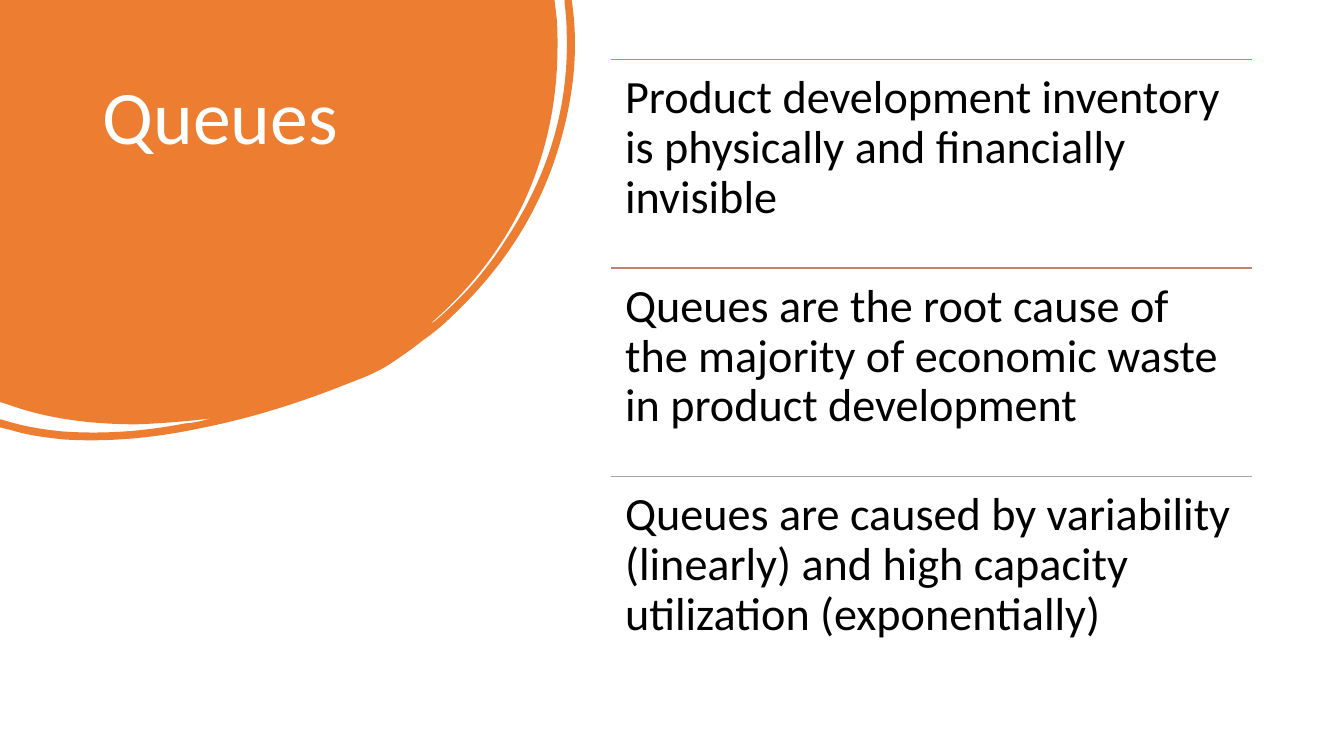
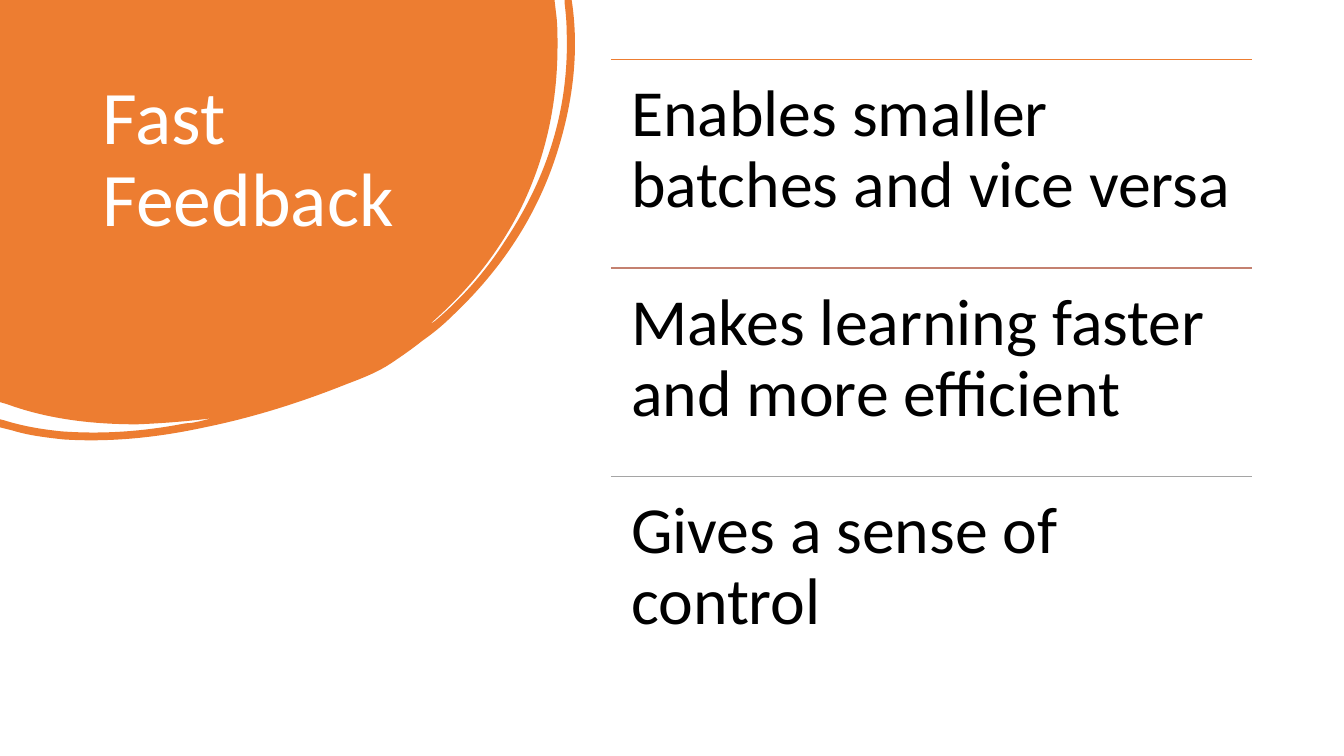
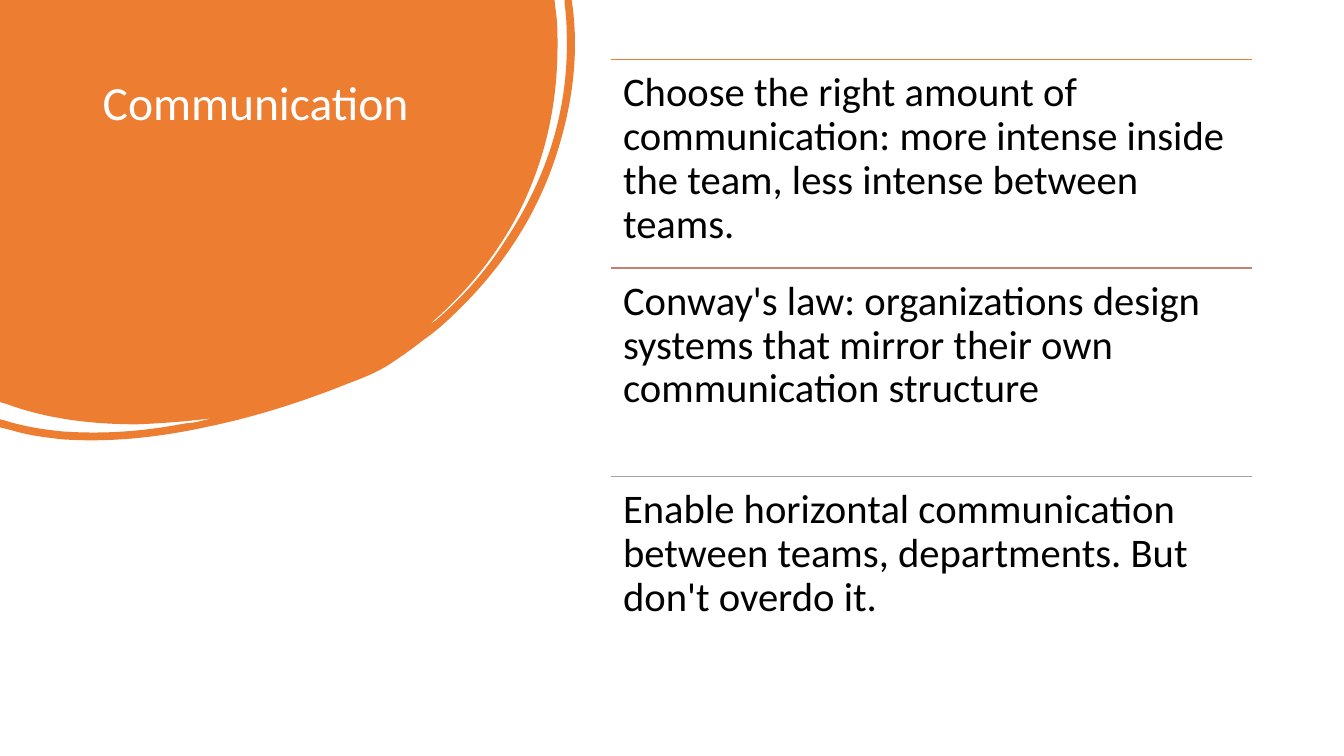
from lxml import etree
from pptx import Presentation
from pptx.dml.color import RGBColor
from pptx.enum import shapes, text
from pptx.oxml.ns import qn
from pptx.util import Inches, Pt

# Shared look
FONT = "Calibri"
ORANGE, WHITE, BLACK = "ED7D31", "FFFFFF", "000000"
RULE_COLORS = [ORANGE, "C48170", "A5A5A5"]
LIST_LEFT, LIST_TOP, LIST_WIDTH, ROW_HEIGHT = 6.06, 0.59, 6.36, 2.07
BLOB_WIDTH, BLOB_HEIGHT = 5.71, 4.37

# Brush blob outline from (0, 0): 2 numbers are a line, 6 are a Bezier curve
BLOB = [
    (5.5, 0), (5.52, 0.17),
    (5.53, 0.26, 5.53, 0.36, 5.53, 0.45),
    (5.53, 1.01, 5.42, 1.54, 5.18, 2.04),
    (4.96, 2.49, 4.65, 2.88, 4.27, 3.21),
    (4.29, 3.21, 4.3, 3.19, 4.32, 3.18),
    (4.59, 2.95, 4.82, 2.69, 5.01, 2.39),
    (5.43, 1.76, 5.65, 1.07, 5.62, 0.3),
    (5.62, 0.21, 5.61, 0.12, 5.6, 0.03),
    (5.6, 0), (5.67, 0), (5.68, 0.07),
    (5.74, 0.54, 5.68, 1.02, 5.53, 1.5),
    (5.33, 2.14, 4.97, 2.68, 4.48, 3.14),
    (4.39, 3.23, 4.29, 3.31, 4.19, 3.38),
    (4.09, 3.46, 3.99, 3.53, 3.87, 3.61),
    (3.75, 3.69, 3.6, 3.75, 3.44, 3.81),
    (2.99, 3.99, 2.52, 4.14, 2.03, 4.24),
    (1.57, 4.34, 1.1, 4.39, 0.63, 4.36),
    (0.45, 4.34, 0.28, 4.32, 0.12, 4.27),
    (0, 4.24), (0, 4.16), (0.04, 4.17),
    (0.23, 4.23, 0.42, 4.26, 0.61, 4.28),
    (1.03, 4.31, 1.43, 4.28, 1.84, 4.2),
    (1.89, 4.2, 1.93, 4.19, 1.98, 4.18),
    (2.02, 4.17, 2.06, 4.16, 2.1, 4.15),
    (1.86, 4.18, 1.61, 4.2, 1.36, 4.21),
    (0.92, 4.21, 0.48, 4.16, 0.07, 4.01),
    (0, 3.99),
]

# Title, title size, statement size, statement inset, statements
SLIDES = [
    ("Queues", 54, 33, 0.14, [
        "Product development inventory is physically and financially invisible",
        "Queues are the root cause of the majority of economic waste in product development",
        "Queues are caused by variability (linearly) and high capacity utilization (exponentially)",
    ]),
    ("Fast Feedback", 54, 47, 0.2, [
        "Enables smaller batches and vice versa",
        "Makes learning faster and more efficient",
        "Gives a sense of control",
    ]),
    ("Communication", 34, 29, 0.12, [
        "Choose the right amount of communication: more intense inside the team, "
        "less intense between teams.",
        "Conway's law: organizations design systems that mirror their own communication structure",
        "Enable horizontal communication between teams, departments. But don't overdo it.",
    ]),
]


def color(hex_value):
    return RGBColor.from_string(hex_value)


def bend_segments(outline, segments):
    """Turn the straight segments that have control points into Bezier curves."""
    for line, segment in zip(outline.findall(qn("a:lnTo")), segments):
        if len(segment) == 6:
            line.tag = qn("a:cubicBezTo")
            for index in (0, 2):
                control = etree.Element(qn("a:pt"), x=str(Inches(segment[index])),
                                        y=str(Inches(segment[index + 1])))
                line.insert(index // 2, control)


def add_blob(slide):
    builder = slide.shapes.build_freeform(0, 0)
    ends = [(Inches(segment[-2]), Inches(segment[-1])) for segment in BLOB]
    builder.add_line_segments(ends, close=True)
    blob = builder.convert_to_shape()
    # Curves reach beyond their end points, so the frame is set as well
    blob.width, blob.height = Inches(BLOB_WIDTH), Inches(BLOB_HEIGHT)
    outline = next(blob._element.iter(qn("a:path")))
    outline.set("w", str(blob.width))
    outline.set("h", str(blob.height))
    bend_segments(outline, BLOB)
    blob.shadow.inherit = False
    blob.fill.solid()
    blob.fill.fore_color.rgb = color(ORANGE)
    blob.line.fill.background()


def add_text(slide, words, left, top, width, height, *, size, hex_value=BLACK,
             inset_x=0.1, inset_y=0.05):
    box = slide.shapes.add_textbox(Inches(left), Inches(top), Inches(width), Inches(height))
    frame = box.text_frame
    frame.word_wrap = True
    frame.vertical_anchor = text.MSO_ANCHOR.TOP
    frame.margin_left = frame.margin_right = Inches(inset_x)
    frame.margin_top = frame.margin_bottom = Inches(inset_y)
    paragraph = frame.paragraphs[0]
    paragraph.line_spacing = 0.9
    run = paragraph.add_run()
    run.text = words
    run.font.name = FONT
    run.font.size = Pt(size)
    run.font.color.rgb = color(hex_value)


def add_rule(slide, top, hex_value):
    rule = slide.shapes.add_connector(
        shapes.MSO_CONNECTOR.STRAIGHT, Inches(LIST_LEFT), Inches(top),
        Inches(LIST_LEFT + LIST_WIDTH), Inches(top))
    rule.line.color.rgb = color(hex_value)
    rule.line.width = Pt(1)
    etree.SubElement(rule._element.spPr, qn("a:effectLst"))


def add_statements(slide, statements, size, inset):
    for row, (statement, rule_color) in enumerate(zip(statements, RULE_COLORS)):
        top = LIST_TOP + row * ROW_HEIGHT
        add_rule(slide, top, rule_color)
        add_text(slide, statement, LIST_LEFT, top, LIST_WIDTH, ROW_HEIGHT,
                 size=size, inset_x=inset, inset_y=inset)


def main():
    deck = Presentation()
    deck.slide_width, deck.slide_height = Inches(13.33), Inches(7.5)
    for title, title_size, size, inset, statements in SLIDES:
        slide = deck.slides.add_slide(deck.slide_layouts[6])
        add_blob(slide)
        add_text(slide, title, 0.92, 0.74, 3.52, 2.22, size=title_size, hex_value=WHITE)
        add_statements(slide, statements, size, inset)
    deck.save("out.pptx")


if __name__ == "__main__":
    main()
